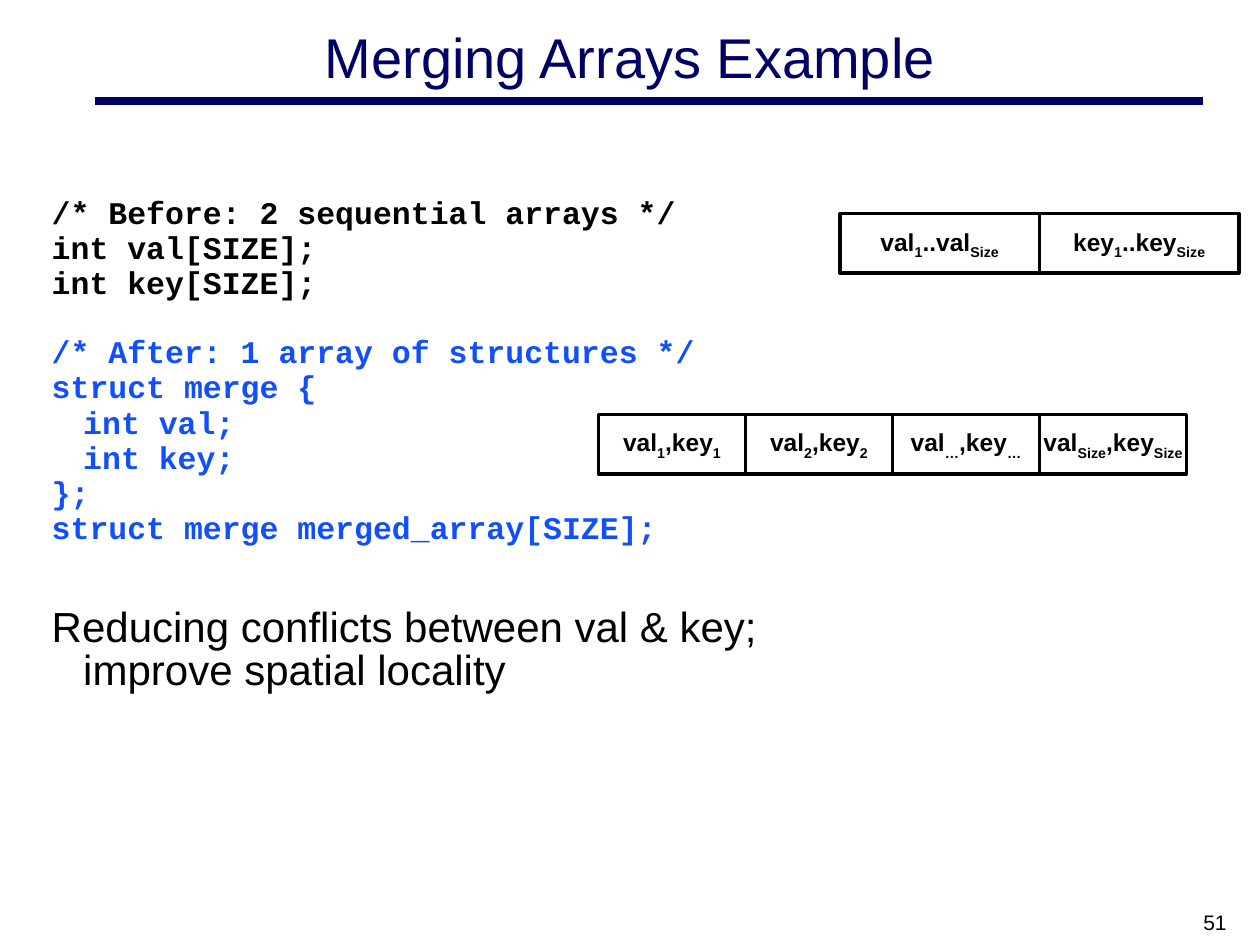
from lxml import etree
from pptx import Presentation
from pptx.dml.color import RGBColor
from pptx.enum import shapes, text
from pptx.oxml import ns
from pptx.util import Pt

COLORS = {"navy": "000066", "black": "000000", "blue": "114FFB", "white": "FFFFFF"}
SANS, MONO = "Arial", "Courier New"

BEFORE_CODE = [
    "/* Before: 2 sequential arrays */",
    "int val[SIZE];",
    "int key[SIZE];",
]
AFTER_CODE = [
    "/* After: 1 array of structures */",
    "struct merge {",
    "\tint val;",
    "\tint key;",
    "};",
    "struct merge merged_array[SIZE];",
]
BENEFIT = ["Reducing conflicts between val & key;", "improve spatial locality"]

# Each cell is a list of (name, subscript) pairs
SEPARATE_ARRAYS = [
    [("val", "1"), ("..val", "Size")],
    [("key", "1"), ("..key", "Size")],
]
MERGED_ARRAY = [[("val", i), (",key", i)] for i in ("1", "2", "…", "Size")]


def rgb(name):
    return RGBColor.from_string(COLORS[name])


def add_run(paragraph, words, size, color="black", face=SANS, bold=False):
    run = paragraph.add_run()
    run.text = words
    font = run.font
    font.size, font.name, font.bold = Pt(size), face, bold
    font.color.rgb = rgb(color)
    return run


def add_title(slide, left, top, width, height):
    title = slide.shapes.title
    title.left, title.top, title.width, title.height = map(Pt, (left, top, width, height))
    title.text_frame.vertical_anchor = text.MSO_ANCHOR.MIDDLE
    paragraph = title.text_frame.paragraphs[0]
    paragraph.alignment = text.PP_ALIGN.CENTER
    add_run(paragraph, "Merging Arrays Example", 32, "navy")


def add_title_rule(slide, left, top, width):
    rule = slide.shapes.add_connector(
        shapes.MSO_CONNECTOR.STRAIGHT, Pt(left), Pt(top), Pt(left + width), Pt(top))
    rule.line.color.rgb = rgb("navy")
    rule.line.width = Pt(4.5)
    etree.SubElement(rule._element.spPr, ns.qn("a:effectLst"))


def add_body(slide, left, top, width, height):
    """Place the code before and after merging, then the benefit below it."""
    frame = slide.shapes.add_textbox(*map(Pt, (left, top, width, height))).text_frame
    frame.word_wrap = True
    line_gap, section_gap, benefit_gap = 1.8, 20.9, 35.3

    def add_line(space_before):
        first = not frame.paragraphs[0].runs
        paragraph = frame.paragraphs[0] if first else frame.add_paragraph()
        properties = paragraph._p.get_or_add_pPr()
        properties.set("marL", str(Pt(18)))
        properties.set("indent", str(-Pt(18)))
        paragraph.line_spacing = 0.85
        paragraph.space_before = Pt(0 if first else space_before)
        return paragraph

    for code, color in ((BEFORE_CODE, "black"), (AFTER_CODE, "blue")):
        for number, statement in enumerate(code):
            paragraph = add_line(line_gap if number else section_gap)
            add_run(paragraph, statement, 18, color, MONO, bold=True)

    benefit = add_line(benefit_gap)
    add_run(benefit, BENEFIT[0], 24)
    benefit.add_line_break()
    add_run(benefit, BENEFIT[1], 24)


def add_memory_row(slide, cells, left, top, width, height):
    """Draw adjoining memory cells that share the width equally."""
    cell_width = width / len(cells)
    for column, parts in enumerate(cells):
        cell = slide.shapes.add_shape(
            shapes.MSO_SHAPE.RECTANGLE,
            Pt(left + column * cell_width), Pt(top), Pt(cell_width), Pt(height))
        cell.shadow.inherit = False
        cell.fill.solid()
        cell.fill.fore_color.rgb = rgb("white")
        cell.line.color.rgb = rgb("black")
        cell.line.width = Pt(2)
        frame = cell.text_frame
        frame.word_wrap = False
        frame.vertical_anchor = text.MSO_ANCHOR.MIDDLE
        paragraph = frame.paragraphs[0]
        paragraph.alignment = text.PP_ALIGN.CENTER
        for name, subscript in parts:
            add_run(paragraph, name, 14, bold=True)
            index = add_run(paragraph, subscript, 14, bold=True)
            index._r.get_or_add_rPr().set("baseline", "-25000")


def add_page_number(slide, left, top, width, height):
    frame = slide.shapes.add_textbox(*map(Pt, (left, top, width, height))).text_frame
    frame.word_wrap = True
    paragraph = frame.paragraphs[0]
    paragraph.alignment = text.PP_ALIGN.RIGHT
    add_run(paragraph, "51", 12)


def main():
    deck = Presentation()
    deck.slide_width, deck.slide_height = Pt(720), Pt(540)
    slide = deck.slides.add_slide(deck.slide_layouts.get_by_name("Title Only"))
    add_title_rule(slide, 54, 57.6, 633.6)
    add_title(slide, 36, 6, 648, 52.5)
    add_body(slide, 22.5, 109.8, 648, 324)
    add_memory_row(slide, SEPARATE_ARRAYS, 480, 122, 228, 34)
    add_memory_row(slide, MERGED_ARRAY, 342, 236.8, 336, 34)
    add_page_number(slide, 540, 516, 168, 18)
    deck.save("out.pptx")


if __name__ == "__main__":
    main()
